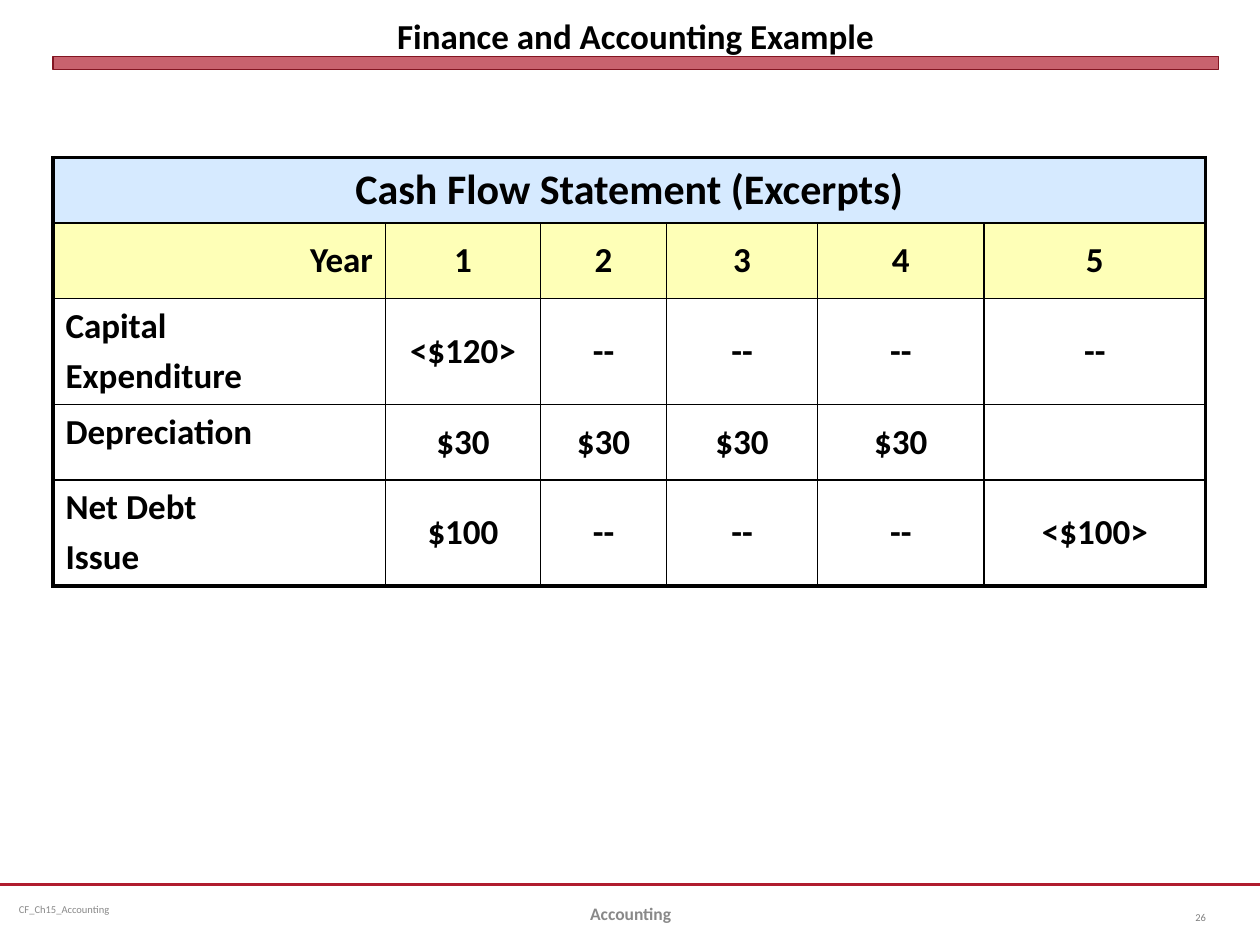
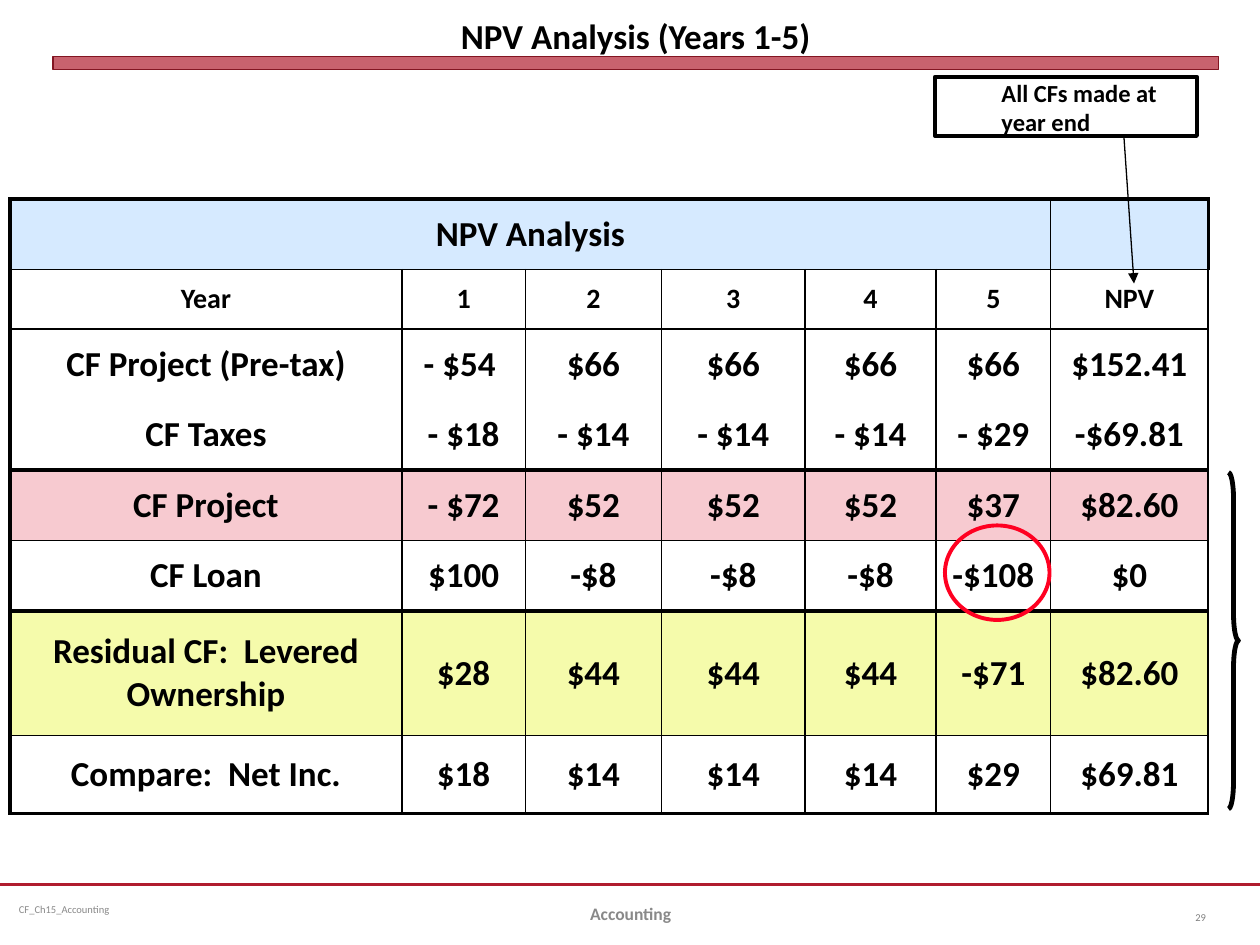
from lxml import etree
from pptx import Presentation
from pptx.dml.color import RGBColor
from pptx.enum.dml import MSO_LINE
from pptx.enum.shapes import MSO_CONNECTOR, MSO_SHAPE
from pptx.enum.text import MSO_ANCHOR, PP_ALIGN
from pptx.oxml.ns import qn
from pptx.util import Inches, Pt

LEFT, CENTER, RIGHT = PP_ALIGN.LEFT, PP_ALIGN.CENTER, PP_ALIGN.RIGHT
TOP, MIDDLE, BOTTOM = MSO_ANCHOR.TOP, MSO_ANCHOR.MIDDLE, MSO_ANCHOR.BOTTOM
SOLID = MSO_LINE.SOLID
STRAIGHT = MSO_CONNECTOR.STRAIGHT
RECTANGLE, OVAL, RIGHT_BRACE = MSO_SHAPE.RECTANGLE, MSO_SHAPE.OVAL, MSO_SHAPE.RIGHT_BRACE

FONT = "Calibri"
BLACK, GRAY, PAGE_GRAY = "000000", "898989", "808080"
CRIMSON, DARK_CRIMSON, RED = "B01C2E", "821522", "FF0021"
SKY, CREAM, PINK, LIME = "D6EAFF", "FEFFB7", "F7CAD0", "F5FBAB"
THIN, MEDIUM, THICK = 1, 2.25, 3
MARGIN, BAND_WIDTH, FOOTER_TOP = 0.42, 9.25, 7.02
TITLE_ONLY = 5

color = RGBColor.from_string


def write(text_frame, text, size, hex_color=BLACK, bold=True, align=CENTER, anchor=MIDDLE):
    text_frame.text = text
    text_frame.word_wrap = True
    text_frame.vertical_anchor = anchor
    for index, paragraph in enumerate(text_frame.paragraphs):
        paragraph.alignment = align
        if index:
            paragraph.space_before = Pt(size * 0.2)
        for run in paragraph.runs:
            run.font.name, run.font.size, run.font.bold = FONT, Pt(size), bold
            run.font.color.rgb = color(hex_color)


def add_line(slide, start, end, hex_color, width):
    points = [Inches(value) for value in (*start, *end)]
    line = slide.shapes.add_connector(STRAIGHT, *points)
    line.line.color.rgb = color(hex_color)
    line.line.width = Pt(width)
    etree.SubElement(line._element.spPr, qn("a:effectLst"))
    return line


# Border widths run from the top edge to the bottom and from the left edge to the right.
pages = [
    {
        "title": "Finance and Accounting Example",
        "number": "26",
        "place": (MARGIN, 1.25),
        "columns": [2.64, 1.23, 1, 1.2, 1.32, 1.76],
        "row_heights": [0.52, 0.6, 0.84, 0.6, 0.84],
        "rows": [
            ["Cash Flow Statement (Excerpts)"] + [""] * 5,
            ["Year", "1", "2", "3", "4", "5"],
            ["Capital\nExpenditure", "<$120>", "--", "--", "--", "--"],
            ["Depreciation", "$30", "$30", "$30", "$30", ""],
            ["Net Debt\nIssue", "$100", "--", "--", "--", "<$100>"],
        ],
        "merge_to": 5,
        "sizes": {0: 24},
        "fills": {0: SKY, 1: CREAM},
        "horizontal": [MEDIUM] + [THIN] * 4 + [MEDIUM],
        "vertical": [MEDIUM] + [THIN] * 5 + [MEDIUM],
        "label_formats": {1: (RIGHT, MIDDLE), 2: (LEFT, TOP), 3: (LEFT, TOP), 4: (LEFT, TOP)},
    },
    {
        "title": "NPV Analysis (Years 1-5)",
        "number": "29",
        "place": (0.08, 1.58),
        "columns": [3.11, 0.98, 1.08, 1.14, 1.04, 0.91, 1.25],
        "row_heights": [0.56, 0.47] + [0.56] * 4 + [0.99, 0.62],
        "rows": [
            ["NPV Analysis"] + [""] * 6,
            ["Year", "1", "2", "3", "4", "5", "NPV"],
            ["CF Project (Pre-tax)", "- $54 ", "$66", "$66", "$66", "$66", "$152.41"],
            ["CF Taxes", "- $18", "- $14", "- $14", "- $14", "- $29", "-$69.81"],
            ["CF Project", "- $72", "$52", "$52", "$52", "$37", "$82.60"],
            ["CF Loan", "$100", "-$8", "-$8", "-$8", "-$108", "$0"],
            ["Residual CF:  Levered Ownership", "$28", "$44", "$44", "$44", "-$71", "$82.60"],
            ["Compare:  Net Inc.", "$18", "$14", "$14", "$14", "$29", "$69.81"],
        ],
        "merge_to": 5,
        "sizes": {1: 16},
        "fills": {0: SKY, 4: PINK, 6: LIME},
        "horizontal": [MEDIUM, THIN, THIN, 0, THICK, THIN, THICK, THIN, MEDIUM],
        "vertical": [MEDIUM] + [THIN] * 7,
        "label_formats": {},
    },
]

presentation = Presentation()
presentation.slide_width, presentation.slide_height = Inches(10), Inches(7.5)

for page in pages:
    slide = presentation.slides.add_slide(presentation.slide_layouts[TITLE_ONLY])

    # Title, band and footer
    title = slide.shapes.title
    title.left, title.top = Inches(MARGIN), Inches(0.05)
    title.width, title.height = Inches(BAND_WIDTH), Inches(0.4)
    frame = title.text_frame
    frame.margin_left = frame.margin_top = frame.margin_right = frame.margin_bottom = 0
    write(frame, page["title"], 20, anchor=BOTTOM)

    band = slide.shapes.add_shape(
        RECTANGLE, Inches(MARGIN), Inches(0.45), Inches(BAND_WIDTH), Inches(0.1))
    band.shadow.inherit = False
    band.fill.solid()
    band.fill.fore_color.rgb = color(CRIMSON)
    band_color = band._element.spPr.find(qn("a:solidFill"))[0]
    etree.SubElement(band_color, qn("a:alpha"), val="69000")
    band.line.color.rgb = color(DARK_CRIMSON)
    band.line.width = Pt(0)

    add_line(slide, (0, FOOTER_TOP), (10, FOOTER_TOP), CRIMSON, 1.25)
    footers = [
        ("CF_Ch15_Accounting", 0.08, FOOTER_TOP, 2.58, 0.07, 6, GRAY, False, LEFT),
        ("Accounting", 3.42, 7.05, 3.17, 0.1, 10, GRAY, True, CENTER),
        (page["number"], 9.17, 7.08, 0.5, 0.1, 6, PAGE_GRAY, False, RIGHT),
    ]
    for text, left, top, width, inset, size, hex_color, bold, align in footers:
        footer = slide.shapes.add_textbox(Inches(left), Inches(top), Inches(width), Inches(0.4))
        footer.text_frame.margin_left = footer.text_frame.margin_right = Inches(inset)
        write(footer.text_frame, text, size, hex_color, bold, align)

    # Table
    left, top = page["place"]
    columns, heights = page["columns"], page["row_heights"]
    table = slide.shapes.add_table(
        len(heights), len(columns), Inches(left), Inches(top),
        Inches(sum(columns)), Inches(sum(heights))).table
    table.first_row = table.horz_banding = False
    for column, width in zip(table.columns, columns):
        column.width = Inches(width)
    for row, height in zip(table.rows, heights):
        row.height = Inches(height)
    table.cell(0, 0).merge(table.cell(0, page["merge_to"]))

    horizontal, vertical = page["horizontal"], page["vertical"]
    for row_index, values in enumerate(page["rows"]):
        for column_index, value in enumerate(values):
            cell = table.cell(row_index, column_index)
            align, anchor = CENTER, MIDDLE
            if column_index == 0:
                align, anchor = page["label_formats"].get(row_index, (CENTER, MIDDLE))
            write(cell.text_frame, value, page["sizes"].get(row_index, 20), align=align)
            cell.vertical_anchor = anchor

            right_edge = column_index + cell.span_width if cell.is_merge_origin else column_index + 1
            right_width = vertical[right_edge]
            if row_index == 0 and right_edge == len(columns):
                right_width = MEDIUM
            borders = {
                "a:lnL": vertical[column_index],
                "a:lnR": right_width,
                "a:lnT": horizontal[row_index],
                "a:lnB": horizontal[row_index + 1],
            }
            properties = cell._tc.get_or_add_tcPr()
            for tag, width in borders.items():
                border = etree.SubElement(properties, qn(tag), w=str(Pt(width)))
                if width:
                    fill = etree.SubElement(border, qn("a:solidFill"))
                    etree.SubElement(fill, qn("a:srgbClr"), val=BLACK)
                else:
                    etree.SubElement(border, qn("a:noFill"))

            if row_index in page["fills"]:
                cell.fill.solid()
                cell.fill.fore_color.rgb = color(page["fills"][row_index])
            else:
                cell.fill.background()

# Marks on the NPV slide
note = slide.shapes.add_textbox(Inches(7.85), Inches(0.57), Inches(1.56), Inches(0.57))
write(note.text_frame, "All CFs made at year end", 14, align=LEFT, anchor=TOP)

marks = [
    (OVAL, 7.5, 4.17, 0.83, 0.75, RED, 2.25),
    (RECTANGLE, 7.42, 0.61, 2.08, 0.47, BLACK, 2.25),
    (RIGHT_BRACE, 9.75, 3.75, 0.08, 2.67, BLACK, 2.75),
]
for kind, left, top, width, height, hex_color, line_width in marks:
    mark = slide.shapes.add_shape(kind, Inches(left), Inches(top), Inches(width), Inches(height))
    mark.shadow.inherit = False
    mark.fill.background()
    mark.line.color.rgb = color(hex_color)
    mark.line.width = Pt(line_width)
    if kind == RIGHT_BRACE:
        mark.adjustments[0] = 2.67

arrow = add_line(slide, (8.92, 1.08), (9, 2.25), BLACK, 0.75)
arrow.line.dash_style = SOLID
etree.SubElement(arrow.line._get_or_add_ln(), qn("a:tailEnd"), type="triangle")

presentation.save("out.pptx")
